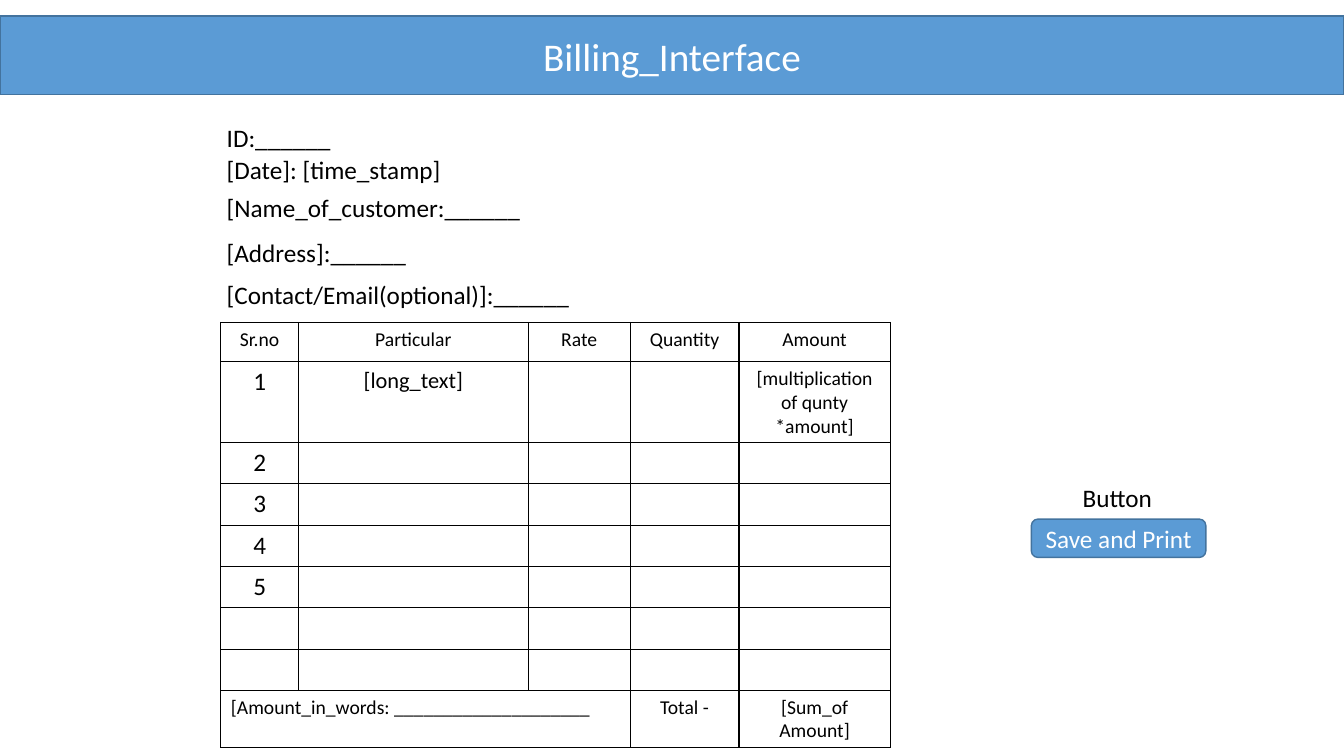
from lxml.etree import SubElement
from pptx import Presentation
from pptx.dml.color import RGBColor
from pptx.enum.shapes import MSO_SHAPE as Shape
from pptx.enum.text import MSO_ANCHOR as Anchor, MSO_AUTO_SIZE as AutoSize, PP_ALIGN as Align
from pptx.oxml.ns import qn
from pptx.util import Inches, Pt

FONT = "Calibri"
BLUE = RGBColor(0x5B, 0x9B, 0xD5)
DARK_BLUE = RGBColor(0x43, 0x73, 0x9E)
BLACK = RGBColor(0, 0, 0)
WHITE = RGBColor(255, 255, 255)

FIELD_LEFT = 2.15
FIELDS = [  # text, top, width
    ("ID:______", 1.16, 1.25),
    ("[Date]: [time_stamp]", 1.48, 2.35),
    ("[Name_of_customer:______", 1.86, 3.15),
    ("[Address]:______", 2.31, 2.0),
    ("[Contact/Email(optional)]:______", 2.72, 3.64),
]

COLUMN_WIDTHS = [0.77, 2.28, 1.01, 1.08, 1.5]
HEADER_HEIGHT, ROW_HEIGHT = 0.39, 0.41
HEADINGS = ["Sr.no", "Particular", "Rate", "Quantity", "Amount"]
ITEM_ROWS = 7
NUMBERED_ROWS = 5
TOTAL_ROW = ITEM_ROWS + 1


def write(frame, text, size, color=BLACK, align=Align.CENTER):
    frame.text = text
    para = frame.paragraphs[0]
    para.alignment = align
    for span in para.runs:
        span.font.name = FONT
        span.font.size = Pt(size)
        span.font.color.rgb = color


def paint_blue(shape):
    shape.fill.solid()
    shape.fill.fore_color.rgb = BLUE
    shape.line.color.rgb = DARK_BLUE
    shape.line.width = Pt(1)


def add_banner(page, text):
    banner = page.shapes.title
    banner.left, banner.top = Inches(0), Inches(0.16)
    banner.width, banner.height = Inches(13.33), Inches(0.78)
    paint_blue(banner)
    write(banner.text_frame, text, 28, WHITE)
    banner.text_frame.vertical_anchor = Anchor.MIDDLE


def add_label(page, text, left, top, width):
    box = page.shapes.add_textbox(Inches(left), Inches(top), Inches(width), Inches(0.4))
    box.text_frame.word_wrap = False
    box.text_frame.auto_size = AutoSize.SHAPE_TO_FIT_TEXT
    write(box.text_frame, text, 18, align=Align.LEFT)


def add_button(page, text, left, top, width, height):
    button = page.shapes.add_shape(
        Shape.ROUNDED_RECTANGLE, Inches(left), Inches(top), Inches(width), Inches(height))
    button.shadow.inherit = False
    paint_blue(button)
    write(button.text_frame, text, 18, WHITE)
    button.text_frame.vertical_anchor = Anchor.MIDDLE


def outline_cell(cell):
    properties = cell._tc.get_or_add_tcPr()
    for side in ("a:lnL", "a:lnR", "a:lnT", "a:lnB"):
        border = SubElement(properties, qn(side), w=str(Pt(1)))
        fill = SubElement(border, qn("a:solidFill"))
        SubElement(fill, qn("a:srgbClr"), val=str(BLACK))
    cell.fill.background()


def add_bill(page, left, top):
    row_heights = [HEADER_HEIGHT] + [ROW_HEIGHT] * TOTAL_ROW
    table = page.shapes.add_table(
        len(row_heights), len(COLUMN_WIDTHS), Inches(left), Inches(top),
        Inches(sum(COLUMN_WIDTHS)), Inches(sum(row_heights))).table
    table.first_row = table.horz_banding = False
    for column, width in zip(table.columns, COLUMN_WIDTHS):
        column.width = Inches(width)
    for row, height in zip(table.rows, row_heights):
        row.height = Inches(height)
    for cell in table.iter_cells():
        outline_cell(cell)

    # Headings and item numbers
    for index, heading in enumerate(HEADINGS):
        write(table.cell(0, index).text_frame, heading, 14)
    for number in range(1, NUMBERED_ROWS + 1):
        write(table.cell(number, 0).text_frame, str(number), 18)

    # Example item
    write(table.cell(1, 1).text_frame, "[long_text]", 16)
    write(table.cell(1, 4).text_frame, "[multiplication of qunty *amount]", 14)

    # Total row
    words = table.cell(TOTAL_ROW, 0)
    words.merge(table.cell(TOTAL_ROW, 2))
    write(words.text_frame, "[Amount_in_words: " + "_" * 20, 14, align=Align.LEFT)
    write(table.cell(TOTAL_ROW, 3).text_frame, "Total -", 14)
    write(table.cell(TOTAL_ROW, 4).text_frame, "[Sum_of Amount]", 14)


def main():
    deck = Presentation()
    deck.slide_width, deck.slide_height = Inches(13.33), Inches(7.5)
    page = deck.slides.add_slide(deck.slide_layouts.get_by_name("Title Only"))

    # Heading and customer fields
    add_banner(page, "Billing_Interface")
    for text, top, width in FIELDS:
        add_label(page, text, FIELD_LEFT, top, width)

    # Bill
    add_bill(page, 2.19, 3.2)

    # Save button
    add_label(page, "Button", 10.64, 4.74, 0.9)
    add_button(page, "Save and Print", 10.23, 5.15, 1.73, 0.38)

    deck.save("out.pptx")


main()
